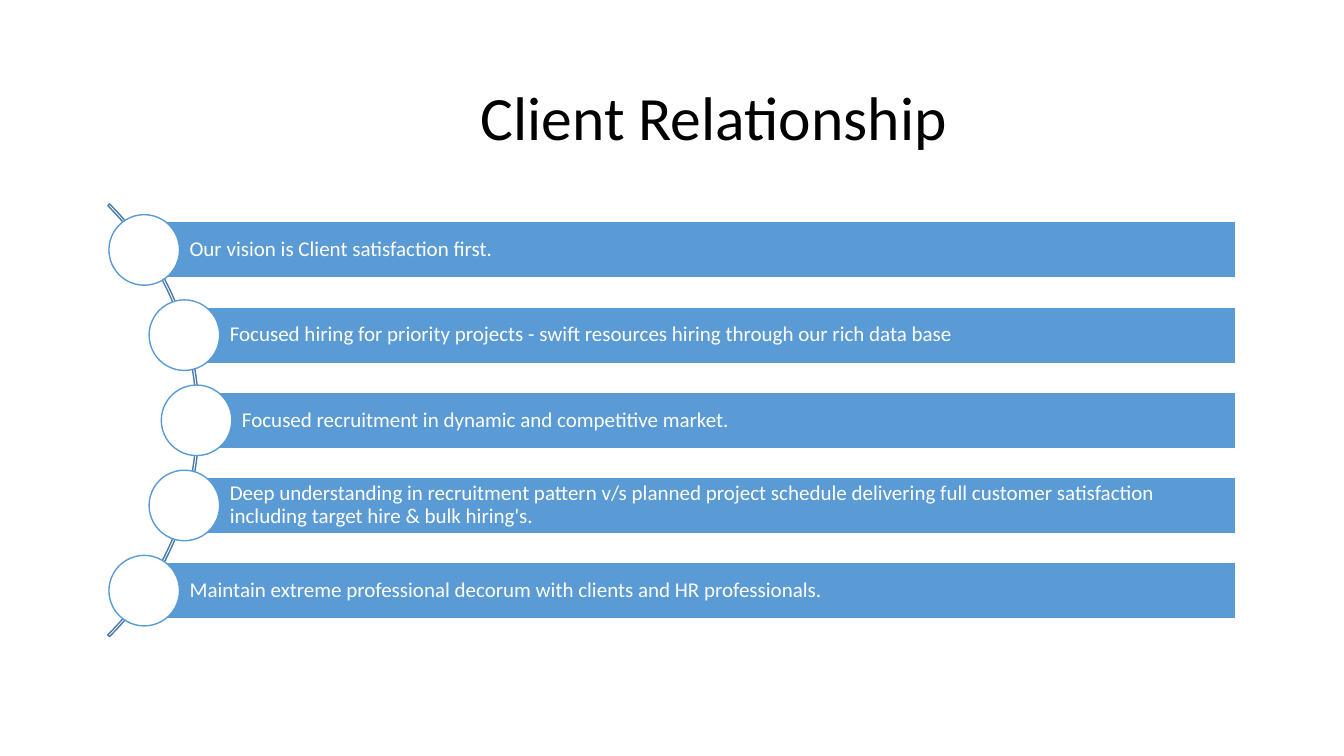
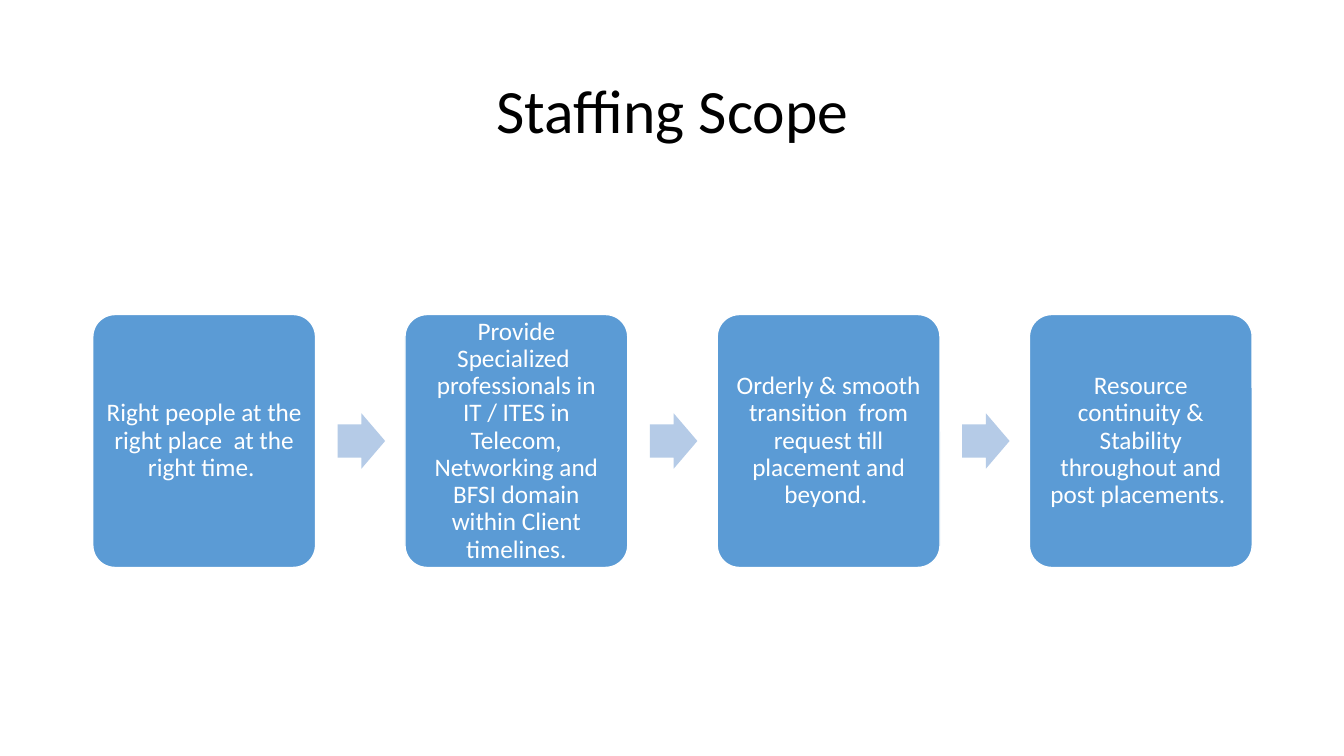
"""Build the client relationship and staffing scope slides."""
import math

import pptx
import pptx.dml.color
import pptx.enum.shapes
import pptx.enum.text
import pptx.util

Inches = pptx.util.Inches
Pt = pptx.util.Pt
SHAPES = pptx.enum.shapes.MSO_SHAPE
ALIGN = pptx.enum.text.PP_ALIGN

WHITE, BLACK = "FFFFFF", "000000"
BLUE, PALE_BLUE, ARC_BLUE = "5B9BD5", "B5CBE7", "497CAB"
FONT = "Calibri"

COMMITMENTS = [
    "Our vision is Client satisfaction first.",
    "Focused hiring for priority projects - swift resources hiring through our rich data base",
    "Focused recruitment in dynamic and competitive market.",
    "Deep understanding in recruitment pattern v/s planned project schedule delivering full "
    "customer satisfaction including target hire & bulk hiring's.",
    "Maintain extreme professional decorum with clients and HR professionals.",
]
STAGES = [
    "Right people at the right place  at the right time. ",
    "Provide Specialized  professionals in IT / ITES in Telecom, Networking and BFSI domain "
    "within Client timelines.",
    "Orderly & smooth transition  from request till placement and beyond. ",
    "Resource continuity & Stability throughout and post placements. ",
]


def rgb(value):
    return pptx.dml.color.RGBColor.from_string(value)


def apply_format(target, values):
    for attribute, value in values.items():
        setattr(target, attribute, value)


def write_text(holder, text, size, color, align, margins):
    frame = holder.text_frame
    sides = ("margin_left", "margin_top", "margin_right", "margin_bottom")
    apply_format(frame, {
        "word_wrap": True,
        "vertical_anchor": pptx.enum.text.MSO_ANCHOR.MIDDLE,
        **{side: Inches(margin) for side, margin in zip(sides, margins)},
    })
    paragraph = frame.paragraphs[0]
    apply_format(paragraph, {"text": text, "alignment": align, "line_spacing": 0.9})
    font = paragraph.runs[0].font
    apply_format(font, {"name": FONT, "size": Pt(size)})
    font.color.rgb = rgb(color)


def add_title(slide, text, box, left_margin=0.1):
    title = slide.shapes.add_textbox(*map(Inches, box))
    write_text(title, text, 44, BLACK, ALIGN.CENTER, (left_margin, 0.05, 0.1, 0.05))


def add_figure(slide, preset, box, fill=None, line=None, adjustments=()):
    figure = slide.shapes.add_shape(preset, *map(Inches, box))
    figure.shadow.inherit = False
    for index, value in enumerate(adjustments):
        figure.adjustments[index] = value
    if fill:
        figure.fill.solid()
        figure.fill.fore_color.rgb = rgb(fill)
    else:
        figure.fill.background()
    if line:
        figure.line.color.rgb = rgb(line)
        figure.line.width = Pt(1)
    else:
        figure.line.fill.background()
    return figure


def add_commitments(slide):
    arc_x, arc_y, arc_size, radius = -1.06, 4.17, 6.07, 3.01
    pitch = 3.38 / (len(COMMITMENTS) - 1)
    bar_right, bar_height, circle_size = 12.26, 0.56, 0.7
    arc_box = (arc_x - arc_size / 2, arc_y - arc_size / 2, arc_size, arc_size)
    add_figure(slide, SHAPES.BLOCK_ARC, arc_box, line=ARC_BLUE, adjustments=(189, 27, 0.004))
    for index, text in enumerate(COMMITMENTS):
        offset = (index - (len(COMMITMENTS) - 1) / 2) * pitch
        x = arc_x + math.sqrt(radius ** 2 - offset ** 2)
        y = arc_y + offset
        bar_box = (x, y - bar_height / 2, bar_right - x, bar_height)
        bar = add_figure(slide, SHAPES.RECTANGLE, bar_box, BLUE, WHITE)
        write_text(bar, text, 15, WHITE, ALIGN.LEFT, (0.45, 0.04, 0.04, 0.04))
        circle_box = (x - circle_size / 2, y - circle_size / 2, circle_size, circle_size)
        add_figure(slide, SHAPES.OVAL, circle_box, WHITE, BLUE)


def add_stages(slide):
    left, top, total_width = 0.92, 3.12, 11.5
    width, height = 2.21, 2.51
    arrow_width, arrow_height, arrow_gap = 0.47, 0.55, 0.22
    pitch = (total_width - width) / (len(STAGES) - 1)
    for index, text in enumerate(STAGES):
        x = left + index * pitch
        if index:
            arrow_box = (x - pitch + width + arrow_gap, top + (height - arrow_height) / 2,
                         arrow_width, arrow_height)
            add_figure(slide, SHAPES.RIGHT_ARROW, arrow_box, PALE_BLUE, adjustments=(0.6, 0.5))
        stage = add_figure(slide, SHAPES.ROUNDED_RECTANGLE, (x, top, width, height),
                           BLUE, WHITE, (0.1,))
        write_text(stage, text, 18, WHITE, ALIGN.CENTER, (0.07,) * 4)


def main():
    deck = pptx.Presentation()
    apply_format(deck, {"slide_width": Inches(13.33), "slide_height": Inches(7.5)})
    blank = deck.slide_layouts[6]

    relationship = deck.slides.add_slide(blank)
    add_title(relationship, "Client Relationship", (0.94, 0.47, 11.32, 1.45), 1.06)
    add_commitments(relationship)

    scope = deck.slides.add_slide(blank)
    add_title(scope, "Staffing Scope", (0.92, 0.4, 11.5, 1.45))
    add_stages(scope)

    deck.save("out.pptx")


if __name__ == "__main__":
    main()
